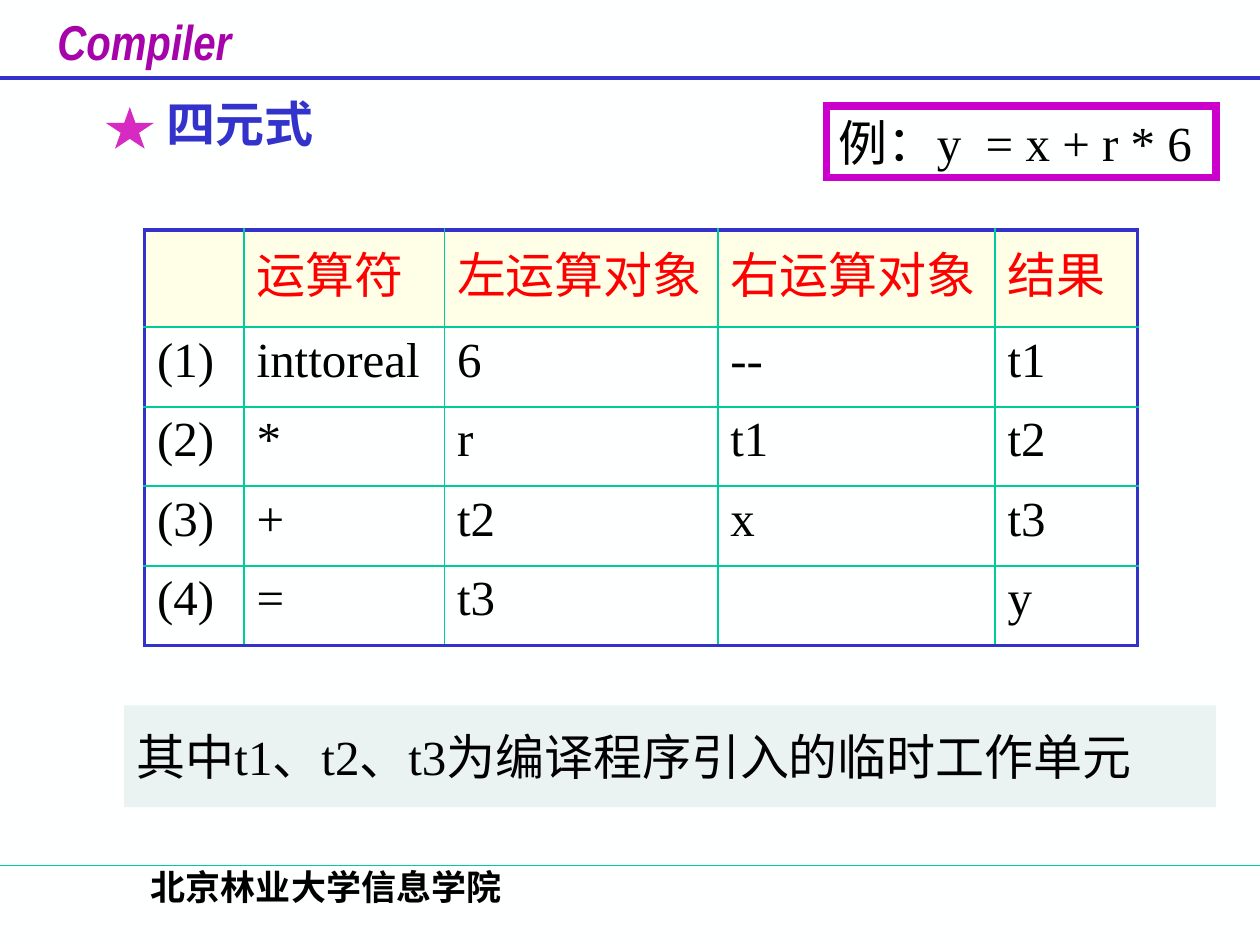
from dataclasses import dataclass
from typing import Any, Optional

from lxml import etree
from pptx import Presentation
from pptx.dml.color import RGBColor
from pptx.enum.shapes import MSO_CONNECTOR, MSO_SHAPE
from pptx.enum.text import MSO_ANCHOR, MSO_AUTO_SIZE, PP_ALIGN
from pptx.oxml.ns import qn
from pptx.util import Pt

STRAIGHT = MSO_CONNECTOR.STRAIGHT
RECTANGLE, STAR = MSO_SHAPE.RECTANGLE, MSO_SHAPE.STAR_5_POINT
TOP, MIDDLE = MSO_ANCHOR.TOP, MSO_ANCHOR.MIDDLE
FIXED, GROW = MSO_AUTO_SIZE.NONE, MSO_AUTO_SIZE.SHAPE_TO_FIT_TEXT
LEFT, CENTER = PP_ALIGN.LEFT, PP_ALIGN.CENTER

SLIDE_WIDTH, SLIDE_HEIGHT = 720, 540
RIGHT_EDGE = 694.8
SERIF, NARROW, CJK = "Times New Roman", "Arial Narrow", "Noto Sans CJK SC"
COLORS = {
    "background": "FEFFFF",
    "blue": "3333CC",
    "green": "00CC99",
    "purple": "A603AB",
    "magenta": "CC00CC",
    "star": "D62AC2",
    "note": "D9E6E6",
    "header": "FFFFE7",
    "red": "FF0000",
    "black": "000000",
}

COLUMN_WIDTHS = [56.9, 114.5, 156.2, 158.4, 81.4]
ROW_HEIGHTS = [55.4] + [45.5] * 4
QUADRUPLES = [
    ["", "运算符", "左运算对象", "右运算对象", "结果"],
    ["(1)", "inttoreal", "6", "--", "t1"],
    ["(2)", "*", "r", "t1", "t2"],
    ["(3)", "+", "t2", "x", "t3"],
    ["(4)", "=", "t3", "", "y"],
]


@dataclass
class Box:
    left: float
    top: float
    width: float
    height: float

    def lengths(self) -> list:
        return [Pt(v) for v in (self.left, self.top, self.width, self.height)]


@dataclass
class Label:
    text: str
    color: str = "black"
    font: str = SERIF
    size: float = 28
    bold: bool = False
    italic: bool = False
    align: Any = LEFT
    anchor: Any = TOP
    wrap: bool = True
    auto_size: Any = FIXED


@dataclass
class Rule:
    y: float
    color: str
    weight: float


def rgb(color: str) -> RGBColor:
    return RGBColor.from_string(COLORS[color])


def apply_format(target: Any, values: dict) -> None:
    for attribute, value in values.items():
        setattr(target, attribute, value)


def write_text(frame: Any, label: Label) -> None:
    paragraph = frame.paragraphs[0]
    paragraph.alignment = label.align
    run = paragraph.add_run()
    run.text = label.text
    apply_format(run.font, {
        "name": label.font,
        "size": Pt(label.size),
        "bold": label.bold,
        "italic": label.italic,
    })
    run.font.color.rgb = rgb(label.color)
    east_asian = etree.SubElement(run.font._element, qn("a:ea"))
    east_asian.set("typeface", CJK)


def fill_box(shape: Any, label: Label) -> None:
    apply_format(shape.text_frame, {
        "margin_left": Pt(7.2),
        "margin_right": Pt(7.2),
        "margin_top": Pt(3.6),
        "margin_bottom": Pt(3.6),
        "vertical_anchor": label.anchor,
        "word_wrap": label.wrap,
        "auto_size": label.auto_size,
    })
    write_text(shape.text_frame, label)


def add_rule(slide: Any, rule: Rule) -> None:
    line = slide.shapes.add_connector(
        STRAIGHT, Pt(0), Pt(rule.y), Pt(SLIDE_WIDTH), Pt(rule.y))
    line.line.color.rgb = rgb(rule.color)
    line.line.width = Pt(rule.weight)
    etree.SubElement(line._element.spPr, qn("a:effectLst"))


def add_panel(slide: Any, kind: Any, box: Box, fill: Optional[str] = None,
              border: Optional[str] = None, weight: float = 0) -> Any:
    panel = slide.shapes.add_shape(kind, *box.lengths())
    panel.shadow.inherit = False
    if fill:
        panel.fill.solid()
        panel.fill.fore_color.rgb = rgb(fill)
    else:
        panel.fill.background()
    if border:
        panel.line.color.rgb = rgb(border)
        panel.line.width = Pt(weight)
        outline = panel._element.spPr.find(qn("a:ln"))
        etree.SubElement(outline, qn("a:miter"), lim="800000")
    else:
        panel.line.fill.background()
    return panel


def set_borders(cell: Any, outer_sides: dict) -> None:
    properties = cell._tc.get_or_add_tcPr()
    for position, (side, outer) in enumerate(outer_sides.items()):
        color, weight = ("blue", 2.2) if outer else ("green", 1.1)
        line = etree.Element(qn(f"a:ln{side}"), w=str(Pt(weight)))
        solid = etree.SubElement(line, qn("a:solidFill"))
        etree.SubElement(solid, qn("a:srgbClr"), val=COLORS[color])
        properties.insert(position, line)


def add_quadruple_table(slide: Any) -> None:
    box = Box(82.6, 131.5, sum(COLUMN_WIDTHS), sum(ROW_HEIGHTS))
    last_row, last_column = len(ROW_HEIGHTS) - 1, len(COLUMN_WIDTHS) - 1
    table = slide.shapes.add_table(
        last_row + 1, last_column + 1, *box.lengths()).table
    apply_format(table, {"first_row": False, "horz_banding": False})
    for column, width in zip(table.columns, COLUMN_WIDTHS):
        column.width = Pt(width)
    for r, (entries, height) in enumerate(zip(QUADRUPLES, ROW_HEIGHTS)):
        table.rows[r].height = Pt(height)
        for c, entry in enumerate(entries):
            cell = table.cell(r, c)
            if r == 0:
                cell.fill.solid()
                cell.fill.fore_color.rgb = rgb("header")
                label = Label(entry, "red", CJK)
            else:
                cell.fill.background()
                label = Label(entry)
            write_text(cell.text_frame, label)
            set_borders(cell, {"L": c == 0, "R": c == last_column,
                               "T": r == 0, "B": r == last_row})


def main() -> None:
    presentation = Presentation()
    presentation.slide_width = Pt(SLIDE_WIDTH)
    presentation.slide_height = Pt(SLIDE_HEIGHT)
    slide = presentation.slides.add_slide(presentation.slide_layouts[5])
    slide.background.fill.solid()
    slide.background.fill.fore_color.rgb = rgb("background")

    for rule in (Rule(494.6, "green", 0.75), Rule(44.6, "blue", 2.25)):
        add_rule(slide, rule)

    heading = slide.shapes.title
    apply_format(heading, dict(zip(("left", "top", "width", "height"),
                                   Box(87.8, 49.7, 311, 41).lengths())))
    fill_box(heading, Label("四元式", "blue", bold=True))

    course = slide.shapes.add_textbox(*Box(25.7, 2.9, 137.5, 44.6).lengths())
    fill_box(course, Label("Compiler", "purple", NARROW, bold=True,
                           italic=True, wrap=False))
    school = slide.shapes.add_textbox(*Box(37.4, 491, 298, 36).lengths())
    fill_box(school, Label("北京林业大学信息学院", size=20, bold=True, align=CENTER))

    note_left, example_left = 71, 472.3
    note = add_panel(slide, RECTANGLE, Box(
        note_left, 403, RIGHT_EDGE - note_left, 58.3), "note")
    note_color = next(note._element.spPr.iter(qn("a:srgbClr")))
    etree.SubElement(note_color, qn("a:alpha"), val="50000")
    fill_box(note, Label("其中t1、t2、t3为编译程序引入的临时工作单元",
                         anchor=MIDDLE, wrap=False))

    add_panel(slide, STAR, Box(60.5, 61.2, 27.4, 23.8), "star")
    example = add_panel(slide, RECTANGLE, Box(
        example_left, 60.5, RIGHT_EDGE - example_left, 41),
        border="magenta", weight=4.5)
    fill_box(example, Label("例：y  = x + r * 6", wrap=False, auto_size=GROW))

    add_quadruple_table(slide)
    presentation.save("out.pptx")


if __name__ == "__main__":
    main()
